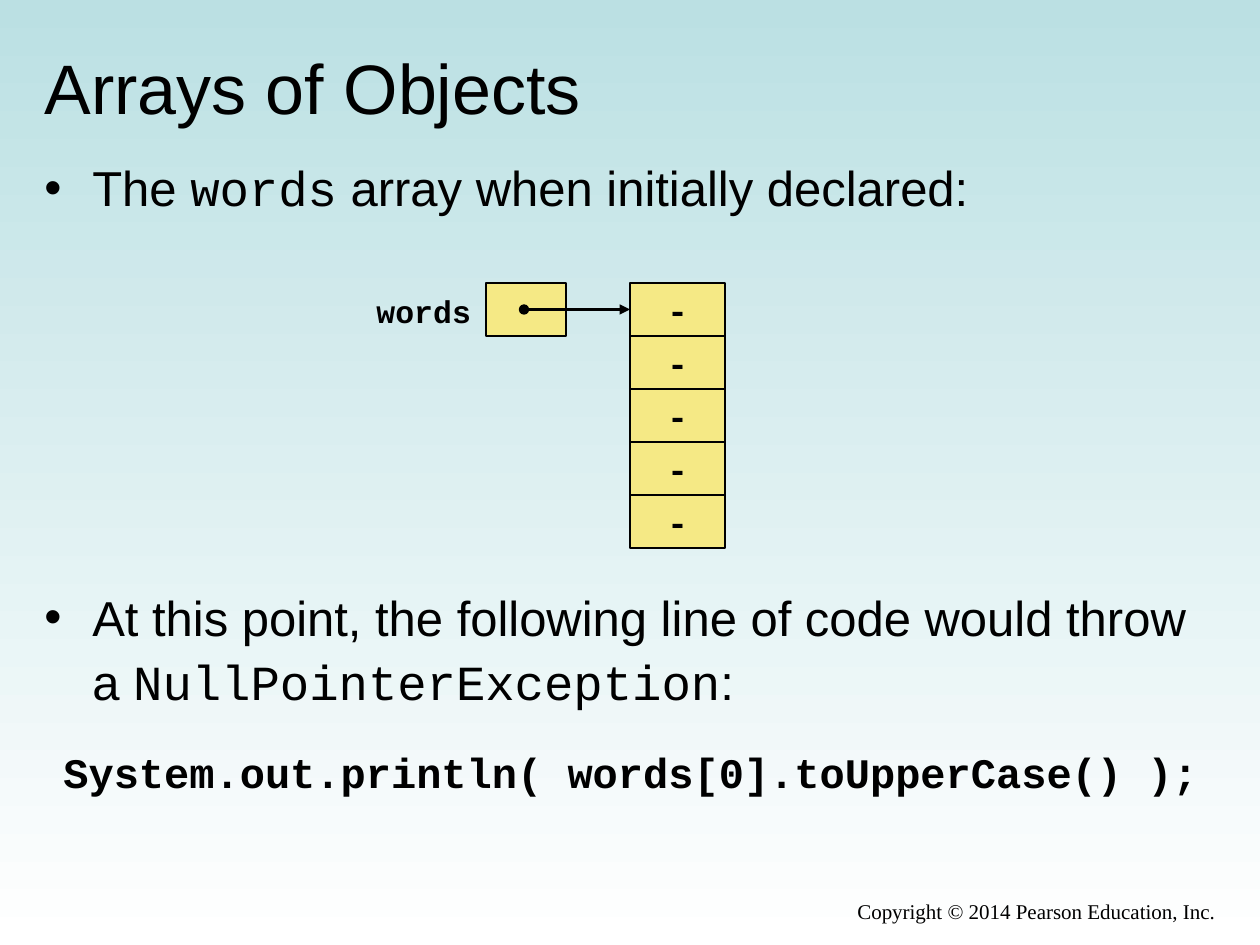
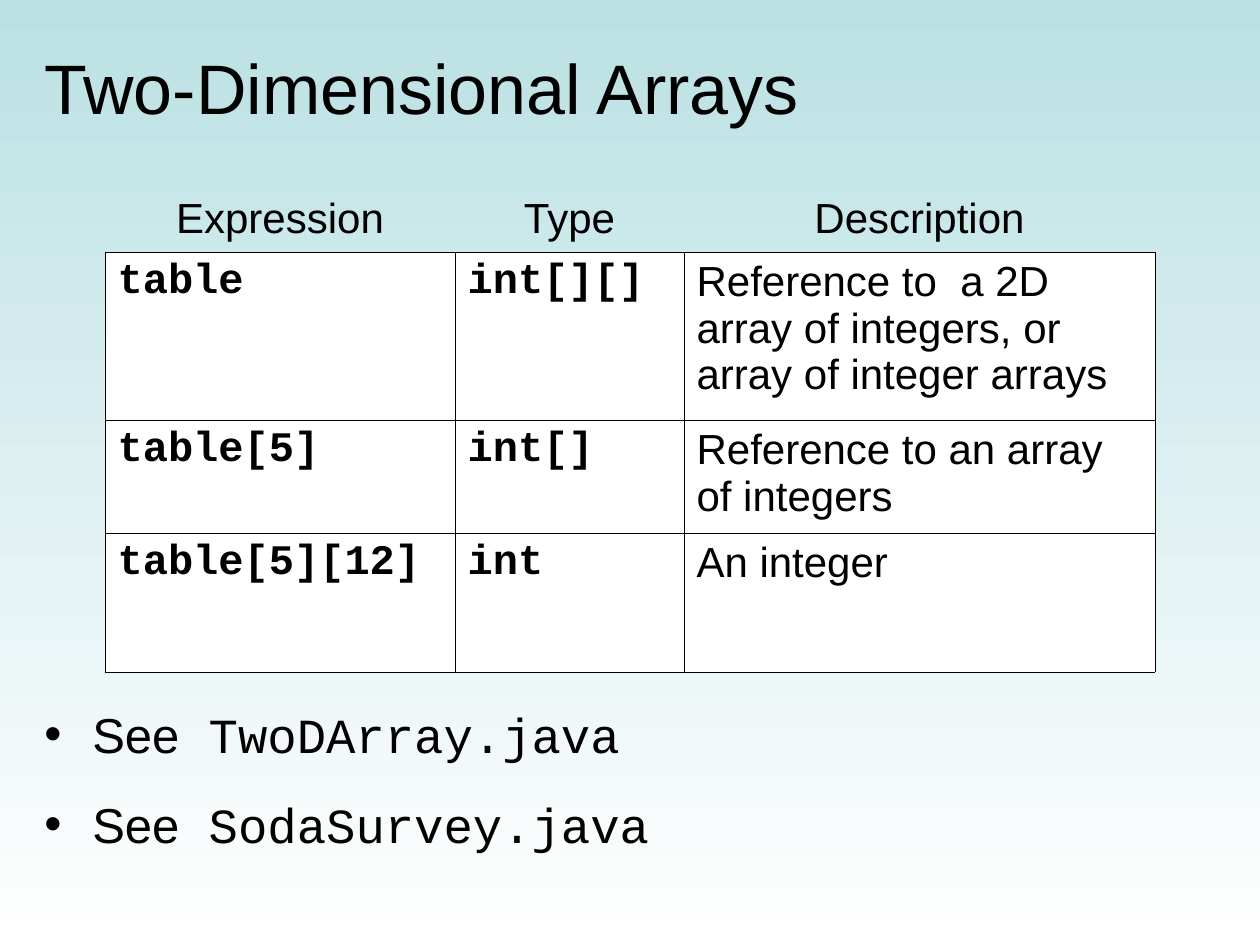
from pptx import Presentation
from pptx import util as u
from pptx.dml.color import RGBColor
from pptx.enum import shapes, text
from pptx.oxml import parse_xml
from pptx.oxml.ns import nsdecls, qn
from lxml import etree

PX = u.Inches(1) / 126
HUES = {"ink": "000000", "sky": "BBE0E3", "white": "FFFFFF", "cell": "F5E985"}
INK, SKY, WHITE, CELL = [RGBColor.from_string(h) for h in HUES.values()]
SANS, MONO, SERIF = "Arial", "Courier New", "Times New Roman"
LEFT, MID, RIGHT = text.PP_ALIGN.LEFT, text.PP_ALIGN.CENTER, text.PP_ALIGN.RIGHT


def px(*nums):
    return [u.Emu(round(n * PX)) for n in nums]


def write(par, runs, size, face=SANS, bold=False, align=LEFT, mark=False):
    par.alignment = align
    if mark:
        props = par._p.get_or_add_pPr()
        indent = px(48)[0]
        props.set("marL", str(indent))
        props.set("indent", str(-indent))
        etree.SubElement(props, qn("a:buFont")).set("typeface", SANS)
        etree.SubElement(props, qn("a:buChar")).set("char", "•")
    font = par.font
    font.size, font.bold, font.color.rgb = u.Pt(size), bold, INK
    if isinstance(runs, str):
        font.name = face
        runs = [(runs, face)]
    for words, name in runs:
        run = par.add_run()
        run.text = words
        if len(runs) > 1:
            run.font.name = name


deck = Presentation()
deck.slide_width, deck.slide_height = px(1260, 945)
back = deck.slide_master.background.fill
back.gradient()
back.gradient_angle = 270
for stop, hue in zip(back.gradient_stops, (SKY, WHITE)):
    stop.color.rgb = hue

pages = []
for name in ("Arrays of Objects", "Two-Dimensional Arrays"):
    page = deck.slides.add_slide(deck.slide_layouts[5])
    title = page.shapes.title
    title.left, title.top, title.width, title.height = px(32, 38, 1197, 98)
    title.text_frame.vertical_anchor = text.MSO_ANCHOR.MIDDLE
    write(title.text_frame.paragraphs[0], name, 40)
    pages.append(page)
first, second = [page.shapes for page in pages]

body = first.add_textbox(*px(32, 158, 1197, 725)).text_frame
body.word_wrap = True
intro = body.paragraphs[0]
write(intro, [("The ", SANS), ("words", MONO),
              (" array when initially declared:", SANS)], 28, mark=True)
intro.line_spacing = 0.9
error = body.add_paragraph()
write(error, [("At this point, the following line of code would throw a ", SANS),
              ("NullPointerException", MONO), (":", SANS)], 28, mark=True)
error.space_before, error.line_spacing = u.Pt(209), 1.08
code = body.add_paragraph()
write(code, "System.out.println( words[0].toUpperCase() );", 24, MONO, True, MID)
code.space_before = u.Pt(21)

label = first.add_textbox(*px(364, 286, 120, 50)).text_frame
label.word_wrap = False
write(label.paragraphs[0], "words", 18, MONO, True)

SIDE, TOP = 53, 283
spots = [(486, TOP, 80, "")] + [(630, TOP + i * SIDE, 95, "-") for i in range(5)]
cells = []
for left, top, width, sign in spots:
    cell = first.add_shape(shapes.MSO_SHAPE.RECTANGLE, *px(left, top, width, SIDE))
    cell.shadow.inherit = False
    cell.fill.solid()
    cell.fill.fore_color.rgb = CELL
    cell.line.color.rgb, cell.line.width = INK, u.Pt(0.75)
    if sign:
        cell.text_frame.word_wrap = False
        cell.text_frame.vertical_anchor = text.MSO_ANCHOR.MIDDLE
        write(cell.text_frame.paragraphs[0], sign, 20, MONO, True, MID)
    cells.append(cell)

head = cells[1]
level = head.top + head.height // 2
arrow = first.add_connector(shapes.MSO_CONNECTOR.STRAIGHT, px(524)[0], level,
                            head.left, level)
arrow.end_connect(head, 1)
arrow.line.color.rgb, arrow.line.width = INK, u.Pt(1.75)
stroke = arrow.line._get_or_add_ln()
for end, kind in (("a:headEnd", "oval"), ("a:tailEnd", "triangle")):
    etree.SubElement(stroke, qn(end)).set("type", kind)
etree.SubElement(arrow._element.spPr, qn("a:effectLst"))

foot = first.add_textbox(*px(462, 892, 766, 43)).text_frame
foot.word_wrap = True
write(foot.paragraphs[0], "Copyright © 2014 Pearson Education, Inc.", 12, SERIF, align=RIGHT)

ROWS = [
    ("Expression", "Type", "Description"),
    ("table", "int[][]",
     "Reference to  a 2D array of integers, or\narray of integer arrays"),
    ("table[5]", "int[]", "Reference to an array of integers"),
    ("table[5][12]", "int", "An integer"),
]
frame = second.add_table(4, 3, *px(105, 189, 1050, 483))
grid = frame.table
grid.first_row = grid.horz_banding = False
for style in frame._element.iter(qn("a:tableStyleId")):
    style.text = "{2D5ABB26-0587-4C30-8999-92F81FD0307C}"
for col, width in zip(grid.columns, px(350, 229, 471)):
    col.width = width
for row, height in zip(grid.rows, px(63, 168, 113, 139)):
    row.height = height
for r, row in enumerate(ROWS):
    for c, words in enumerate(row):
        cell = grid.cell(r, c)
        props = cell._tc.get_or_add_tcPr()
        for edge in "LRTB" if r else "B":
            props.append(parse_xml(
                f'<a:ln{edge} {nsdecls("a")} w="{u.Pt(0.45)}"><a:solidFill>'
                f'<a:srgbClr val="{HUES["ink"]}"/></a:solidFill></a:ln{edge}>'))
        if r:
            cell.fill.solid()
            cell.fill.fore_color.rgb = WHITE
        else:
            cell.fill.background()
        mono = r > 0 and c < 2
        for i, line in enumerate(words.split("\n")):
            par = cell.text_frame.add_paragraph() if i else cell.text_frame.paragraphs[0]
            write(par, line, 24, MONO if mono else SANS, mono, LEFT if r else MID)

links = second.add_textbox(*px(32, 698, 1197, 199)).text_frame
links.word_wrap = True
for i, name in enumerate(("TwoDArray.java", "SodaSurvey.java")):
    par = links.add_paragraph() if i else links.paragraphs[0]
    write(par, [("See", SANS), (" " + name, MONO)], 28, mark=True)
    par.space_after = u.Pt(18)

deck.save("out.pptx")
